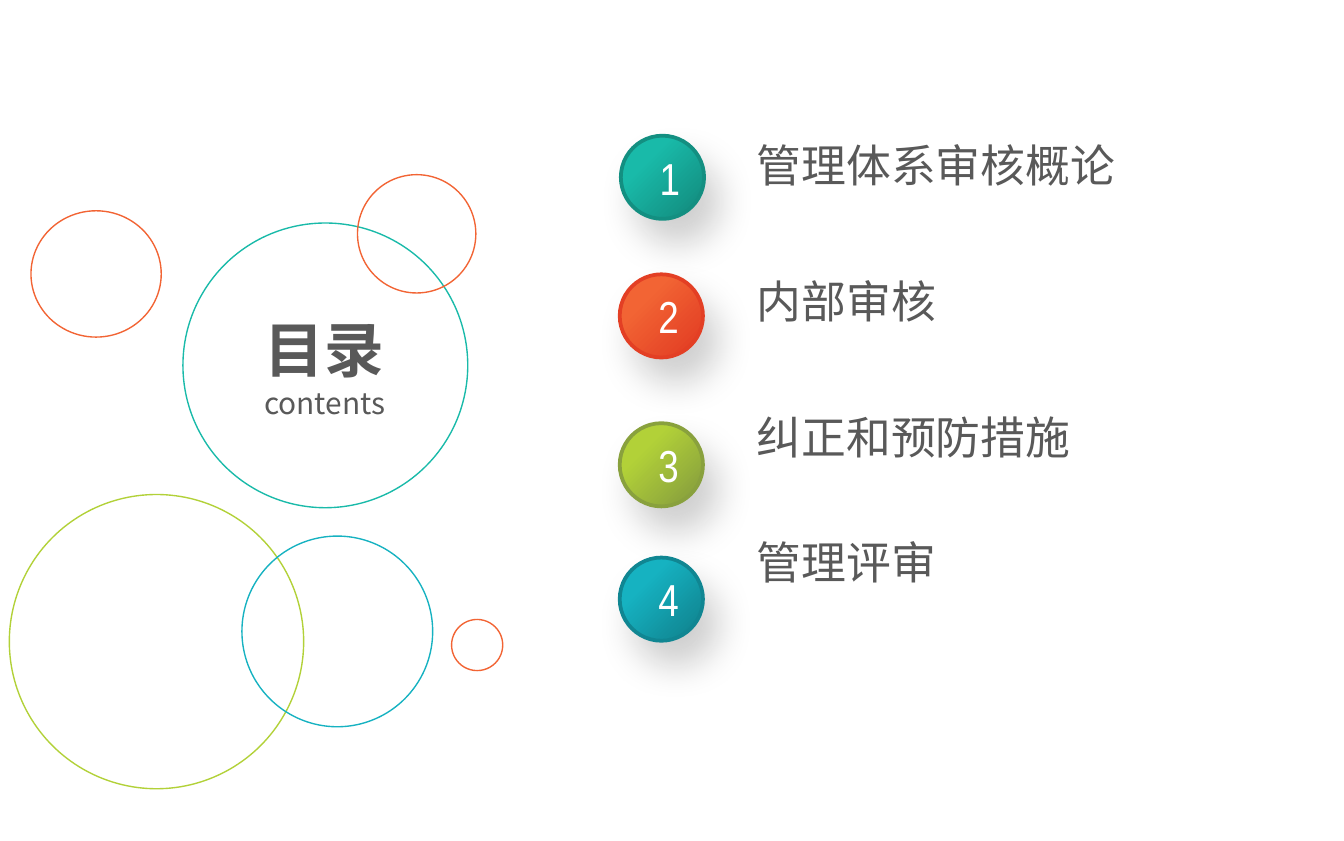
from lxml import etree
from pptx import Presentation
from pptx.dml.color import RGBColor
from pptx.enum.shapes import MSO_SHAPE
from pptx.enum.text import MSO_ANCHOR, MSO_AUTO_SIZE, PP_ALIGN
from pptx.oxml import parse_xml
from pptx.oxml.ns import nsdecls, qn
from pptx.util import Pt

OVAL = MSO_SHAPE.OVAL
TOP, MIDDLE = MSO_ANCHOR.TOP, MSO_ANCHOR.MIDDLE
FIXED, GROW = MSO_AUTO_SIZE.NONE, MSO_AUTO_SIZE.SHAPE_TO_FIT_TEXT
LEFT, CENTER = PP_ALIGN.LEFT, PP_ALIGN.CENTER

SANS, NARROW = "Noto Sans CJK SC", "Arial Narrow"
COLORS = {
    "text": "595959", "white": "FFFFFF",
    "teal": "19BAA9", "teal_dark": "138F81",
    "red": "F26434", "red_dark": "E33F24",
    "green": "B2D138", "green_dark": "89A13D",
    "blue": "16B2C1", "blue_dark": "108692",
}
# left, top, width, height, colour
RINGS = [
    (98, 119.5, 152.6, 152.6, "teal"),
    (5, 265, 157.7, 157.7, "green"),
    (191.5, 93.6, 63.4, 63.4, "red"),
    (129.6, 287.3, 102.2, 102.2, "blue"),
    (241.9, 332, 27.4, 27.4, "red"),
    (16.6, 113, 69.8, 67.7, "red"),
]
# left, top, colour
BADGES = [
    (332.6, 72.7, "teal"), (332, 147, "red"),
    (332, 226.8, "green"), (332, 298.8, "blue"),
]
# item, space before
ITEMS = [("管理体系审核概论", 0), ("内部审核", 44), ("纠正和预防措施", 44), ("管理评审", 38)]


def rgb(name):
    return RGBColor.from_string(COLORS[name])


def place(shape, box):
    for key, val in zip(("left", "top", "width", "height"), box):
        setattr(shape, key, Pt(val))


def set_frame(frame, **form):
    for key, val in form.items():
        setattr(frame, key, val)


def add_run(para, text, face, color, **form):
    run = para.add_run()
    run.text = text
    font = run.font
    font.color.rgb = rgb(color)
    font.name = face
    for key, val in form.items():
        setattr(font, key, val)
    etree.SubElement(font._element, qn("a:ea")).set("typeface", face)


def add_oval(slide, box, color, weight):
    oval = slide.shapes.add_shape(OVAL, *map(Pt, box))
    oval.shadow.inherit = False
    oval.fill.background()
    oval.line.color.rgb = rgb(color)
    oval.line.width = Pt(weight)
    return oval


def cast_shadow(shape):
    """Add a soft shadow to the lower right."""
    shape._element.spPr.find(qn("a:effectLst")).append(parse_xml(
        f'<a:outerShdw {nsdecls("a")} blurRad="{Pt(20)}" dist="{Pt(15)}" '
        f'dir="{59 * 60000}" algn="ctr" rotWithShape="0"><a:srgbClr val="0D0D0D">'
        '<a:alpha val="20000"/></a:srgbClr></a:outerShdw>'))


def add_title(slide, box):
    title = slide.shapes.title
    place(title, box)
    frame = title.text_frame
    set_frame(frame, auto_size=FIXED, vertical_anchor=MIDDLE, word_wrap=True)
    head = frame.paragraphs[0]
    add_run(head, "目录", SANS, "text", size=Pt(32), bold=True)
    sub = frame.add_paragraph()
    add_run(sub, "contents", SANS, "text", size=Pt(16), bold=False)
    for para in (head, sub):
        para.alignment = CENTER
        para.space_before = Pt(0)


def add_badge(slide, box, number, color):
    left, top, size, _ = box
    oval = add_oval(slide, box, color + "_dark", 2)
    oval.fill.gradient()
    oval.fill.gradient_angle = 315
    shades = ((0.3, color), (0.9, color + "_dark"))
    for stop, (pos, shade) in zip(oval.fill.gradient_stops, shades):
        stop.position = pos
        stop.color.rgb = rgb(shade)
    cast_shadow(oval)
    wide = 17.3
    label = slide.shapes.add_textbox(
        Pt(left + (size - wide) / 2), Pt(top + 4.3), Pt(wide), Pt(36))
    set_frame(label.text_frame, word_wrap=True, auto_size=GROW)
    para = label.text_frame.paragraphs[0]
    para.alignment = CENTER
    add_run(para, str(number), NARROW, "white", size=Pt(24))


def add_list(slide, box):
    body = slide.placeholders[1]
    place(body, box)
    frame = body.text_frame
    set_frame(frame, auto_size=FIXED, vertical_anchor=TOP, word_wrap=True,
              margin_left=0, margin_top=0, margin_bottom=0)
    for i, (text, gap) in enumerate(ITEMS):
        para = frame.add_paragraph() if i else frame.paragraphs[0]
        props = para._p.get_or_add_pPr()
        props.set("marL", "0")
        props.set("indent", "0")
        etree.SubElement(props, qn("a:buNone"))
        para.alignment = LEFT
        para.space_before = Pt(gap)
        add_run(para, text, SANS, "text", size=Pt(24))


def main():
    deck = Presentation()
    deck.slide_width, deck.slide_height = Pt(720), Pt(450.72)
    slide = deck.slides.add_slide(deck.slide_layouts[1])
    for *box, color in RINGS:
        add_oval(slide, box, color, 0.75)
    add_title(slide, (128, 158, 92, 77))
    for number, (left, top, color) in enumerate(BADGES, 1):
        add_badge(slide, (left, top, 44.6, 44.6), number, color)
    add_list(slide, (405.4, 74, 219, 270))
    deck.save("out.pptx")


if __name__ == "__main__":
    main()
